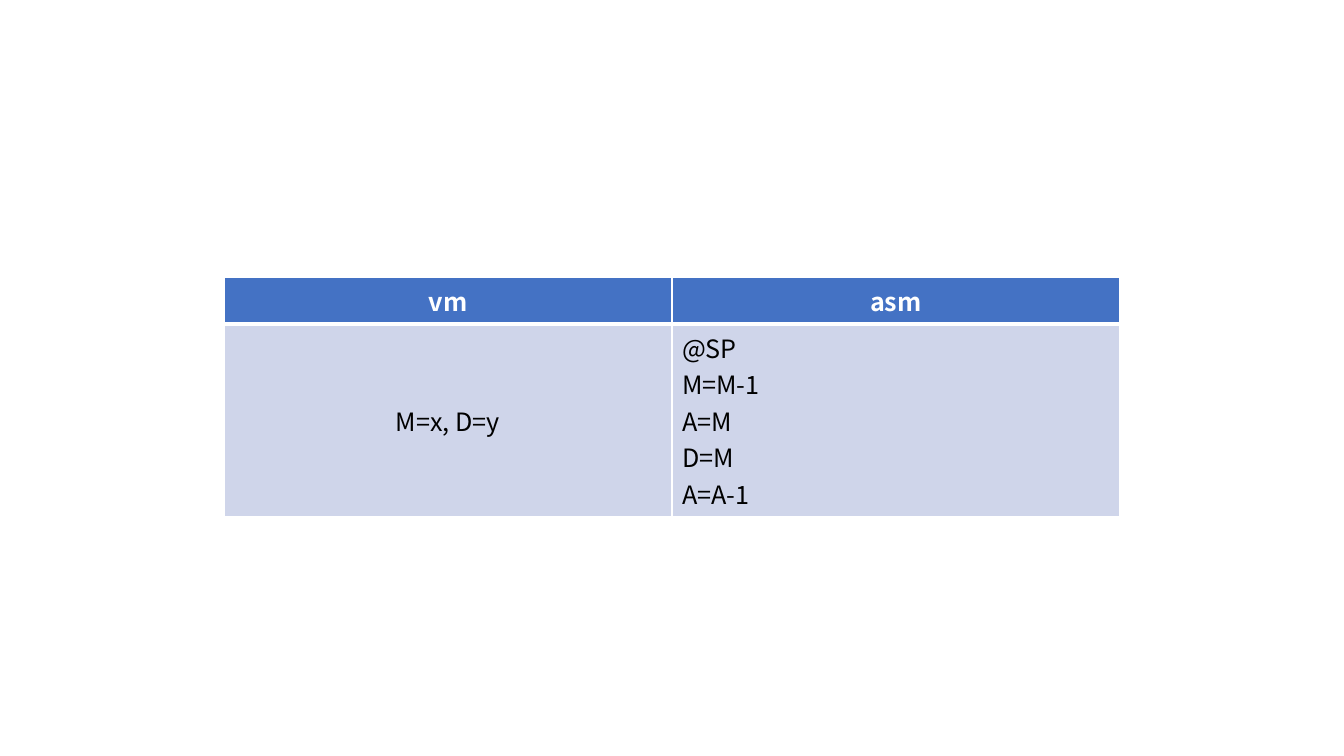
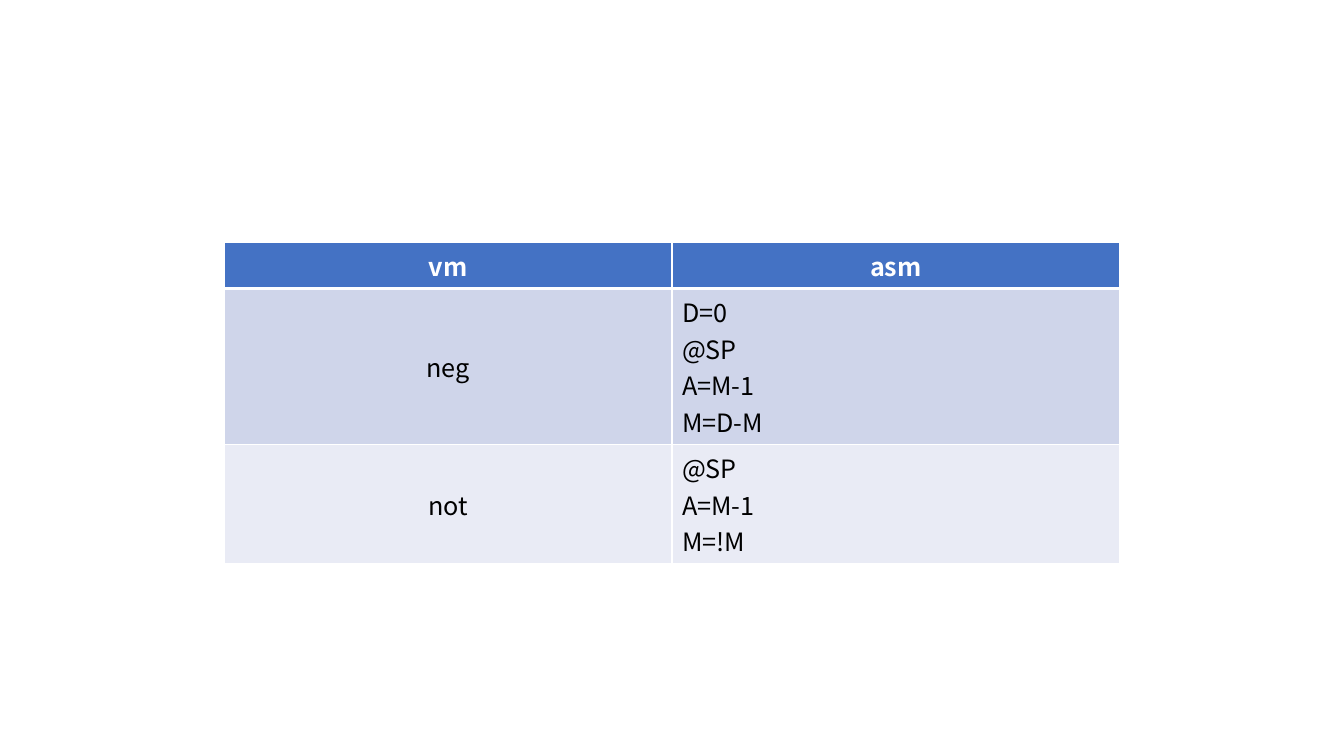
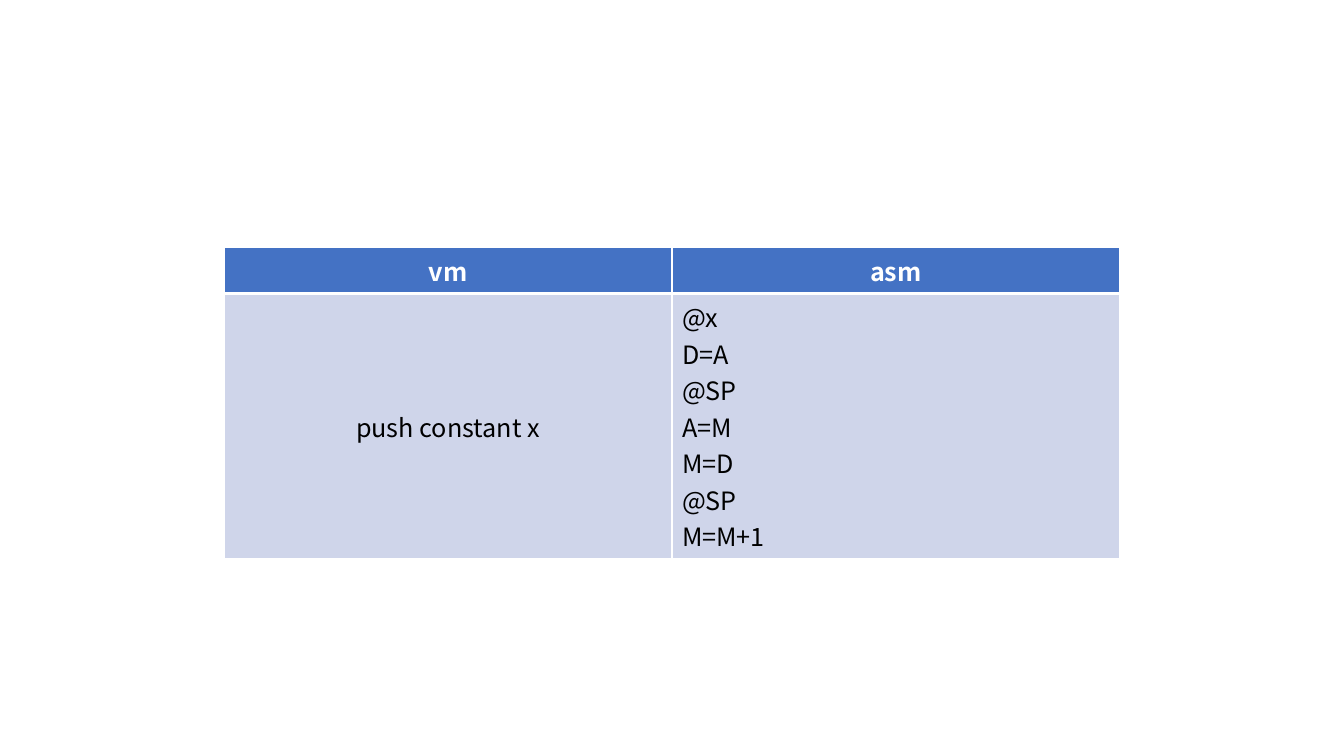
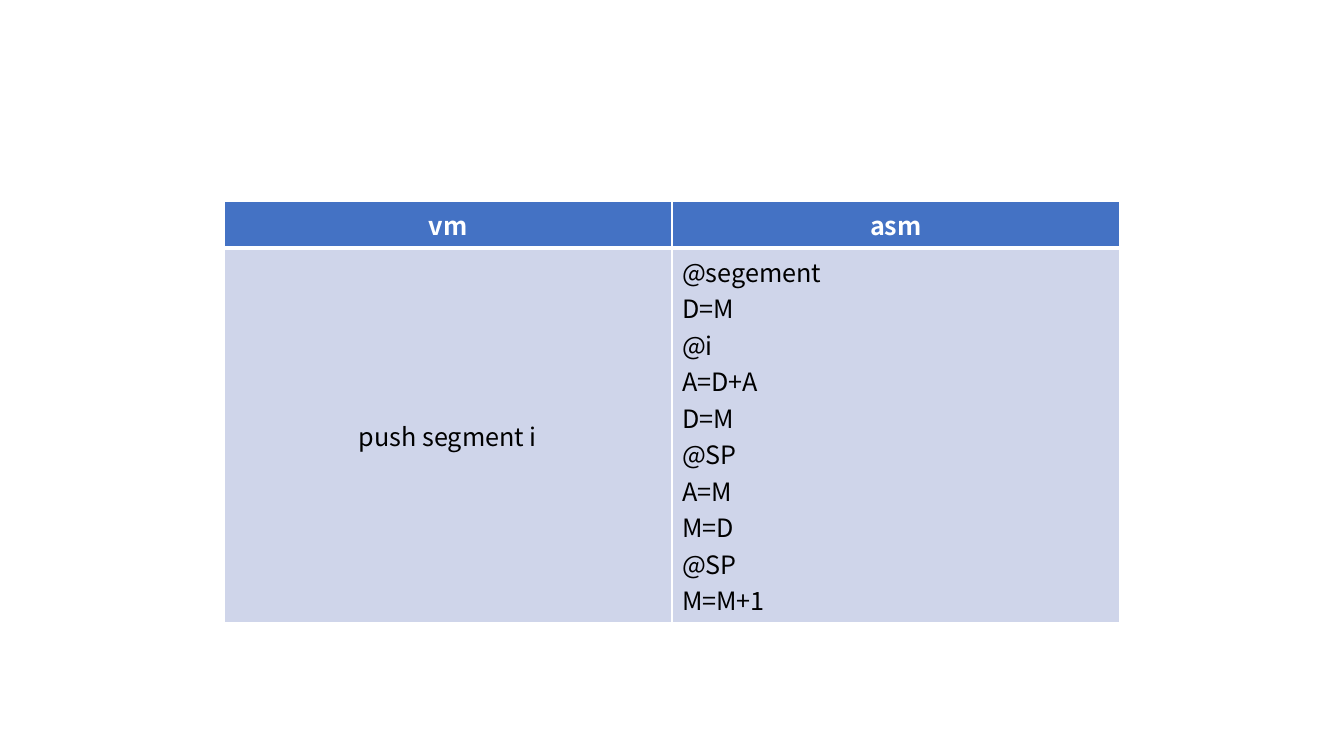
"""Build four slides of tables that translate VM commands to assembly."""
from dataclasses import dataclass

from lxml import etree
from pptx import Presentation
from pptx import util as u
from pptx.dml.color import RGBColor
from pptx.enum import text
from pptx.oxml import ns

WHITE = RGBColor(0xFF, 0xFF, 0xFF)
BLACK = RGBColor(0x00, 0x00, 0x00)
BLUE = RGBColor(0x44, 0x72, 0xC4)
BANDS = (RGBColor(0xCF, 0xD5, 0xEA), RGBColor(0xE9, 0xEB, 0xF5))

FONT = "Noto Sans CJK SC"
FONT_SIZE = u.Pt(18)
LEFT, COLUMN_WIDTH = u.Pt(160), u.Pt(320)
ROW_HEIGHT, LINE_HEIGHT, PADDING = u.Pt(29.2), u.Pt(21.6), u.Pt(7.2)
THIN, THICK = u.Pt(1), u.Pt(3)
HEADINGS = ("vm", "asm")


@dataclass(frozen=True)
class Command:
    vm: str
    asm: tuple[str, ...]


@dataclass(frozen=True)
class Page:
    top: float
    commands: tuple[Command, ...]


PAGES = (
    Page(198, (Command("M=x, D=y", ("@SP", "M=M-1", "A=M", "D=M", "A=A-1")),)),
    Page(172.8, (
        Command("neg", ("D=0", "@SP", "A=M-1", "M=D-M")),
        Command("not", ("@SP", "A=M-1", "M=!M")),
    )),
    Page(176.4, (
        Command("push constant x",
                ("@x", "D=A", "@SP", "A=M", "M=D", "@SP", "M=M+1")),
    )),
    Page(144, (
        Command("push segment i",
                ("@segement", "D=M", "@i", "A=D+A", "D=M",
                 "@SP", "A=M", "M=D", "@SP", "M=M+1")),
    )),
)


def set_borders(cell, top: int, bottom: int) -> None:
    tc_pr = cell._tc.get_or_add_tcPr()
    for side, width in (("L", THIN), ("R", THIN), ("T", top), ("B", bottom)):
        ln = etree.SubElement(tc_pr, ns.qn(f"a:ln{side}"), w=str(int(width)))
        fill = etree.SubElement(ln, ns.qn("a:solidFill"))
        etree.SubElement(fill, ns.qn("a:srgbClr"), val=str(WHITE))


def fill_cell(cell, lines: tuple[str, ...], fill: RGBColor, color: RGBColor,
              bold: bool, centred: bool) -> None:
    cell.fill.solid()
    cell.fill.fore_color.rgb = fill
    cell.vertical_anchor = text.MSO_ANCHOR.MIDDLE
    tf = cell.text_frame
    for i, line in enumerate(lines):
        p = tf.add_paragraph() if i else tf.paragraphs[0]
        p.alignment = text.PP_ALIGN.CENTER if centred else text.PP_ALIGN.LEFT
        r = p.add_run()
        r.text = line
        r.font.name, r.font.size = FONT, FONT_SIZE
        r.font.bold, r.font.color.rgb = bold, color


def add_command_table(s, page: Page) -> None:
    height = ROW_HEIGHT + sum(
        LINE_HEIGHT * len(c.asm) + PADDING for c in page.commands)
    frame = s.shapes.add_table(len(page.commands) + 1, len(HEADINGS), LEFT,
                               u.Pt(page.top), COLUMN_WIDTH * len(HEADINGS), height)
    table = frame.table
    for row in table.rows:
        row.height = ROW_HEIGHT
    frame.height = height
    for col, heading in enumerate(HEADINGS):
        cell = table.cell(0, col)
        set_borders(cell, THIN, THICK)
        fill_cell(cell, (heading,), BLUE, WHITE, True, True)
    for i, command in enumerate(page.commands):
        for col, lines in enumerate(((command.vm,), command.asm)):
            cell = table.cell(i + 1, col)
            set_borders(cell, THIN if i else THICK, THIN)
            fill_cell(cell, lines, BANDS[i % len(BANDS)], BLACK, False, col == 0)


def main() -> None:
    prs = Presentation()
    prs.slide_width, prs.slide_height = u.Pt(960), u.Pt(540)
    for page in PAGES:
        add_command_table(prs.slides.add_slide(prs.slide_layouts[6]), page)
    prs.save("out.pptx")


if __name__ == "__main__":
    main()
